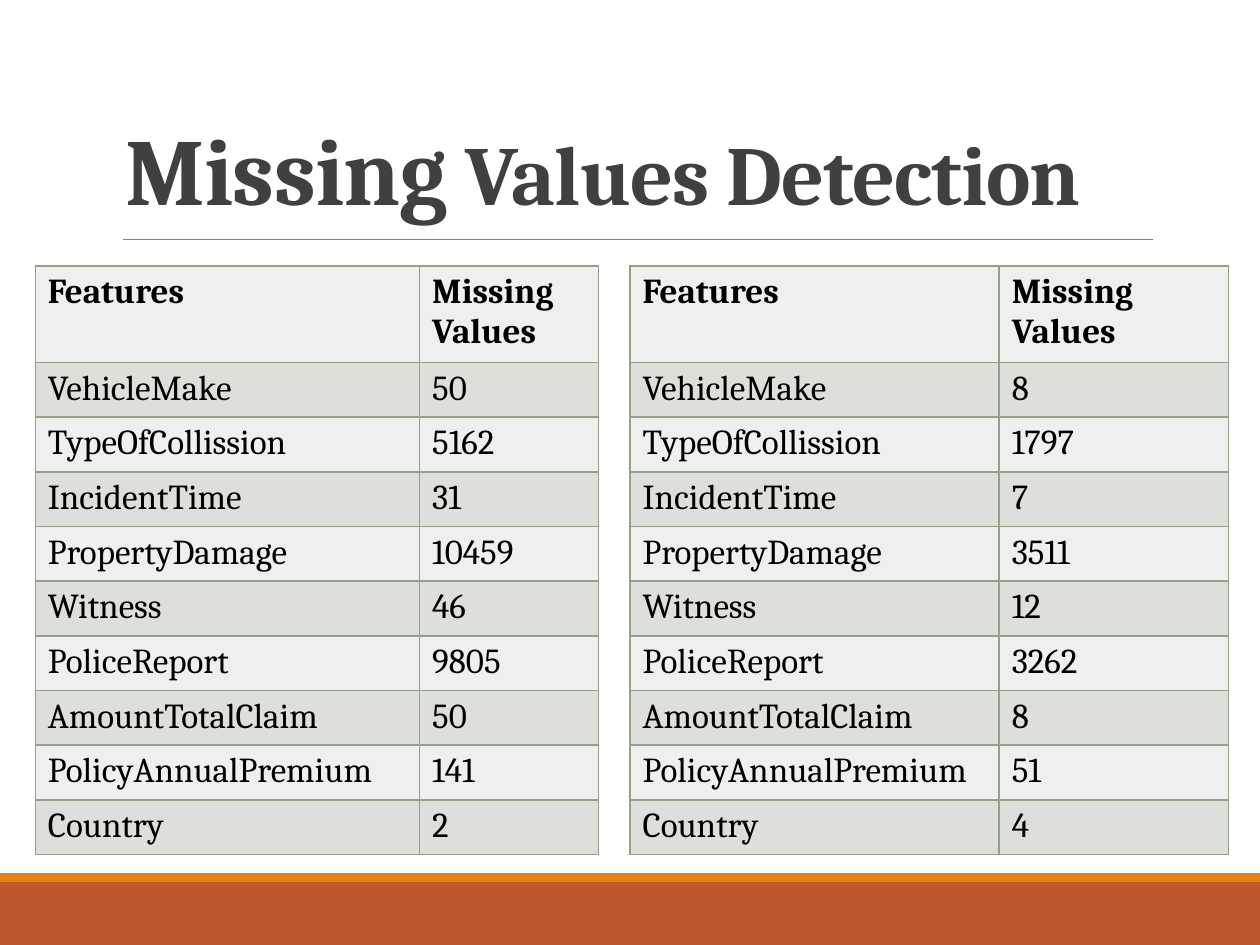
import pptx
import pptx.dml.color
import pptx.enum.shapes
import pptx.enum.text
import pptx.oxml
import pptx.oxml.ns
import pptx.util

Inches = pptx.util.Inches
Pt = pptx.util.Pt

NAMES = ["VehicleMake", "TypeOfCollission", "IncidentTime", "PropertyDamage", "Witness",
         "PoliceReport", "AmountTotalClaim", "PolicyAnnualPremium", "Country"]
LEFT = [50, 5162, 31, 10459, 46, 9805, 50, 141, 2]
RIGHT = [8, 1797, 7, 3511, 12, 3262, 8, 51, 4]


def tint(code):
    return pptx.dml.color.RGBColor.from_string(code)


class Deck:
    """Holds the style and the current slide, and draws each kind of element."""

    face = "Cambria"
    ink = "000000"
    edge = "94A088"
    bands = ("EEF0ED", "DCDFDA")

    def __init__(self, slide):
        self.slide = slide

    def style(self, para, color, bold):
        para.font.name = self.face
        para.font.bold = bold
        para.font.color.rgb = tint(color)

    def bar(self, top, height, color):
        kind = pptx.enum.shapes.MSO_SHAPE.RECTANGLE
        bar = self.slide.shapes.add_shape(kind, 0, Inches(top), Inches(10), Inches(height))
        bar.shadow.inherit = False
        bar.fill.solid()
        bar.fill.fore_color.rgb = tint(color)
        bar.line.fill.background()

    def rule(self, left, right, y, color, width):
        kind = pptx.enum.shapes.MSO_CONNECTOR.STRAIGHT
        rule = self.slide.shapes.add_connector(kind, Inches(left), Inches(y), Inches(right), Inches(y))
        rule.line.color.rgb = tint(color)
        rule.line.width = Pt(width)
        rule._element.spPr.append(pptx.oxml.parse_xml(
            f'<a:effectLst {pptx.oxml.ns.nsdecls("a")}/>'))

    def title(self, left, top, width, height, parts, color):
        box = self.slide.shapes.add_textbox(Inches(left), Inches(top), Inches(width), Inches(height))
        frame = box.text_frame
        frame.word_wrap = True
        frame.vertical_anchor = pptx.enum.text.MSO_ANCHOR.BOTTOM
        para = frame.paragraphs[0]
        para.line_spacing = 0.85
        self.style(para, color, True)
        for text, size in parts:
            run = para.add_run()
            run.text = text
            run.font.size = Pt(size)
            run.font._element.set("spc", "-50")

    def border(self, cell):
        props = cell._tc.get_or_add_tcPr()
        for side in ("lnL", "lnR", "lnT", "lnB"):
            props.append(pptx.oxml.parse_xml(
                f'<a:{side} {pptx.oxml.ns.nsdecls("a")} w="{Pt(1)}"><a:solidFill>'
                f'<a:srgbClr val="{self.edge}"/></a:solidFill></a:{side}>'))

    def table(self, left, top, cols, height, rows):
        frame = self.slide.shapes.add_table(
            len(rows), len(cols), Inches(left), Inches(top),
            Inches(sum(cols)), Inches(height * len(rows)))
        grid = frame.table
        for col, width in zip(grid.columns, cols):
            col.width = Inches(width)
        for i, row in enumerate(rows):
            grid.rows[i].height = Inches(height)
            for j, value in enumerate(row):
                cell = grid.cell(i, j)
                self.border(cell)
                cell.fill.solid()
                cell.fill.fore_color.rgb = tint(self.bands[i % 2])
                cell.text = str(value)
                para = cell.text_frame.paragraphs[0]
                self.style(para, self.ink, i == 0)
                para.font.size = Pt(20)


def main():
    show = pptx.Presentation()
    show.slide_width, show.slide_height = Inches(10), Inches(7.5)
    deck = Deck(show.slides.add_slide(show.slide_layouts[6]))
    deck.bar(7, 0.5, "BD582C")
    deck.bar(6.93, 0.07, "E48312")
    deck.rule(0.98, 9.15, 1.9, "808080", 0.5)
    deck.title(0.9, 0.31, 8.25, 1.52, [("Missing", 54), (" Values Detection", 48)], "404040")
    head = ("Features", "Missing Values")
    for left, cols, counts in ((0.28, (3.05, 1.42), LEFT), (5, (2.93, 1.82), RIGHT)):
        deck.table(left, 2.11, cols, 0.41, [head, *zip(NAMES, counts)])
    show.save("out.pptx")


if __name__ == "__main__":
    main()
